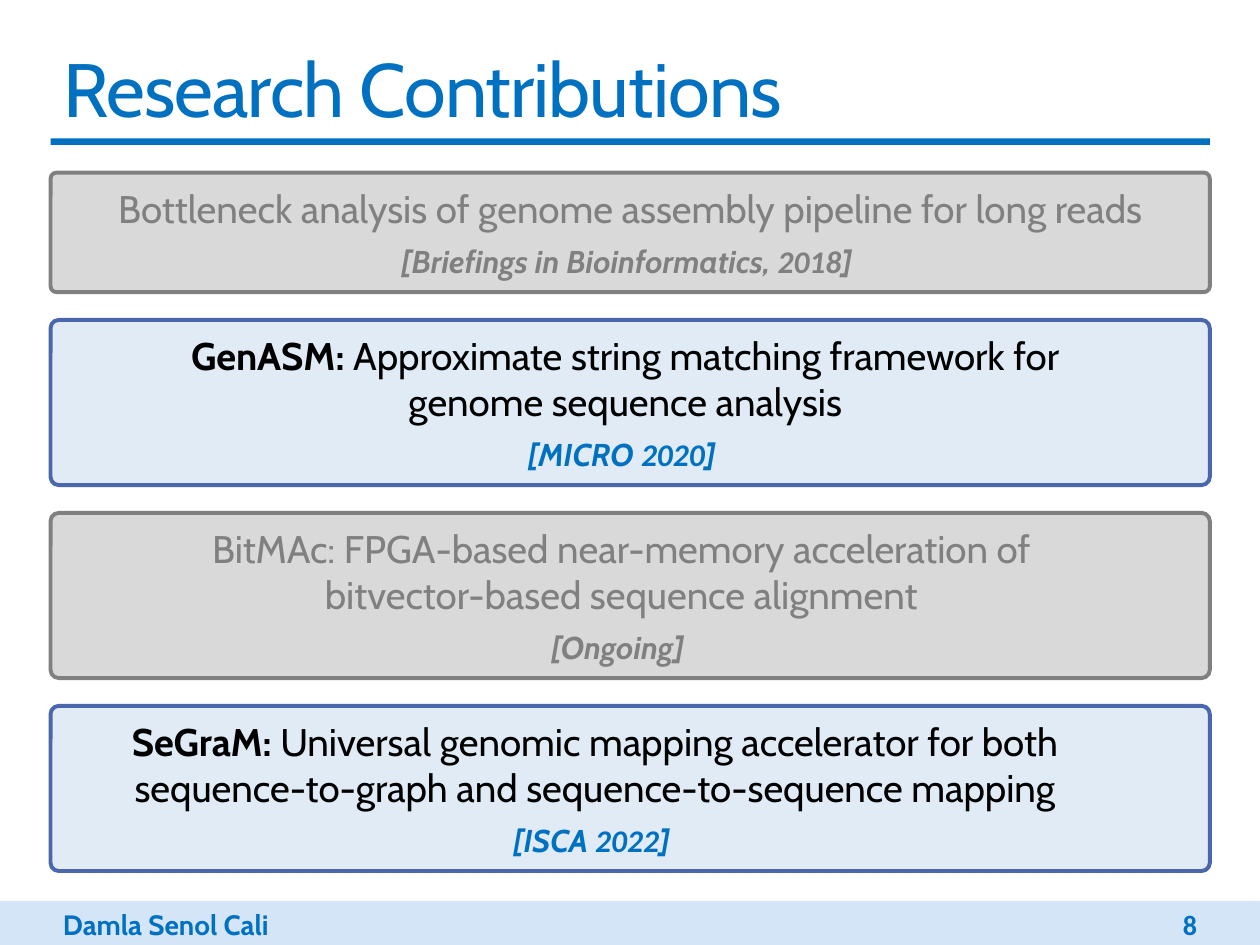
from pptx import Presentation
from pptx.dml.color import RGBColor
from pptx.enum.shapes import MSO_SHAPE
from pptx.enum.text import MSO_ANCHOR, MSO_AUTO_SIZE, PP_ALIGN
from pptx.util import Cm, Pt

THEME = {
    "accent": RGBColor.from_string("0070C0"),
    "footer": RGBColor.from_string("D4E5F7"),
    "text": RGBColor.from_string("000000"),
    "muted": RGBColor.from_string("808080"),
    "muted_fill": RGBColor.from_string("D9D9D9"),
    "active_line": RGBColor.from_string("4A66AC"),
    "active_fill": RGBColor.from_string("E0EBF6"),
    "font": "Cabin",
    "digit_font": "Calibri",
    "title_size": Pt(43.2),
    "card_size": Pt(22),
    "venue_size": Pt(18),
    "footer_size": Pt(16),
}
LEFT, WIDTH = Cm(1.02), Cm(23.37)


def add_run(paragraph, text, color, **format_values):
    run = paragraph.add_run()
    run.text = text
    run.font.color.rgb = color
    for name, value in ({"name": THEME["font"]} | format_values).items():
        setattr(run.font, name, value)
    return run


def add_box(kind, left, top, width, height, fill, line=None):
    shape = slide.shapes.add_shape(kind, left, top, width, height)
    shape.shadow.inherit = False
    shape.fill.solid()
    shape.fill.fore_color.rgb = fill
    if line is None:
        shape.line.fill.background()
    else:
        shape.line.color.rgb = line
        shape.line.width = Pt(2.25)
    return shape


presentation = Presentation()
presentation.slide_width, presentation.slide_height = Cm(25.4), Cm(19.05)
slide = presentation.slides.add_slide(presentation.slide_layouts[5])

# Footer band and title rule
footer_top = Cm(18.16)
add_box(MSO_SHAPE.RECTANGLE, 0, footer_top, presentation.slide_width,
        presentation.slide_height - footer_top, THEME["footer"])
add_box(MSO_SHAPE.RECTANGLE, LEFT, Cm(2.79), WIDTH, Cm(0.13), THEME["accent"])

# Title
title = slide.shapes.title
title.left, title.top, title.width, title.height = LEFT, Cm(0.71), WIDTH, Cm(2.08)
title.text_frame.auto_size = MSO_AUTO_SIZE.NONE
title.text_frame.vertical_anchor = MSO_ANCHOR.MIDDLE
paragraph = title.text_frame.paragraphs[0]
paragraph.alignment = PP_ALIGN.LEFT
run = add_run(paragraph, "Research Contributions", THEME["accent"],
              size=THEME["title_size"])
run.font._element.set("spc", "-50")

# Author and page number
for text, left, top, width, height, alignment, font in [
    ("Damla Senol Cali", LEFT, footer_top, Cm(6.35), Cm(0.94),
     PP_ALIGN.LEFT, THEME["font"]),
    ("8", Cm(20.88), Cm(18.26), Cm(3.5), Cm(0.76),
     PP_ALIGN.RIGHT, THEME["digit_font"]),
]:
    text_box = slide.shapes.add_textbox(left, top, width, height)
    text_box.text_frame.word_wrap = True
    text_box.text_frame.vertical_anchor = MSO_ANCHOR.MIDDLE
    paragraph = text_box.text_frame.paragraphs[0]
    paragraph.alignment = alignment
    add_run(paragraph, text, THEME["accent"], name=font,
            size=THEME["footer_size"], bold=True)

# Contribution cards: active, name, lines, first line's right indent, venue, year
cards = [
    (False, "", ["Bottleneck analysis of genome assembly pipeline for long reads"],
     0, "[Briefings in Bioinformatics, ", "2018"),
    (True, "GenASM: ", ["Approximate string matching framework for",
                        "genome sequence analysis"], Cm(0.2), "[MICRO ", "2020"),
    (False, "", ["BitMAc: FPGA-based near-memory acceleration of",
                 "bitvector-based sequence alignment"], Cm(0.36), "[Ongoing", ""),
    (True, "SeGraM: ", ["Universal genomic mapping accelerator for both",
                        "sequence-to-graph and sequence-to-sequence mapping"],
     Cm(1.42), "[ISCA ", "2022"),
]
top, gap = Cm(3.48), Cm(0.56)
for active, name, lines, indent, venue, year in cards:
    height = Cm(2.41) if len(lines) == 1 else Cm(3.33)
    state = "active" if active else "muted"
    line_color = THEME["active_line"] if active else THEME["muted"]
    text_color = THEME["text"] if active else THEME["muted"]
    venue_color = THEME["accent"] if active else THEME["muted"]
    card = add_box(MSO_SHAPE.ROUNDED_RECTANGLE, LEFT, top, WIDTH, height,
                   THEME[state + "_fill"], line_color)
    card.adjustments[0] = 0.05
    frame = card.text_frame
    frame.word_wrap = True
    frame.vertical_anchor = MSO_ANCHOR.MIDDLE

    for index, line in enumerate(lines):
        paragraph = frame.add_paragraph() if index else frame.paragraphs[0]
        paragraph.alignment = PP_ALIGN.CENTER
        if index == 0:
            paragraph._p.get_or_add_pPr().set("marR", str(int(indent)))
            if name:
                add_run(paragraph, name, text_color, size=THEME["card_size"], bold=True)
        add_run(paragraph, line, text_color, size=THEME["card_size"], bold=False)

    paragraph = frame.add_paragraph()
    paragraph.alignment = PP_ALIGN.CENTER
    paragraph.space_before = Pt(6)
    for text, font in [(venue, THEME["font"]), (year, THEME["digit_font"]),
                       ("] ", THEME["font"])]:
        if text:
            add_run(paragraph, text, venue_color, name=font,
                    size=THEME["venue_size"], bold=True, italic=True)
    top += height + gap

presentation.save("out.pptx")
